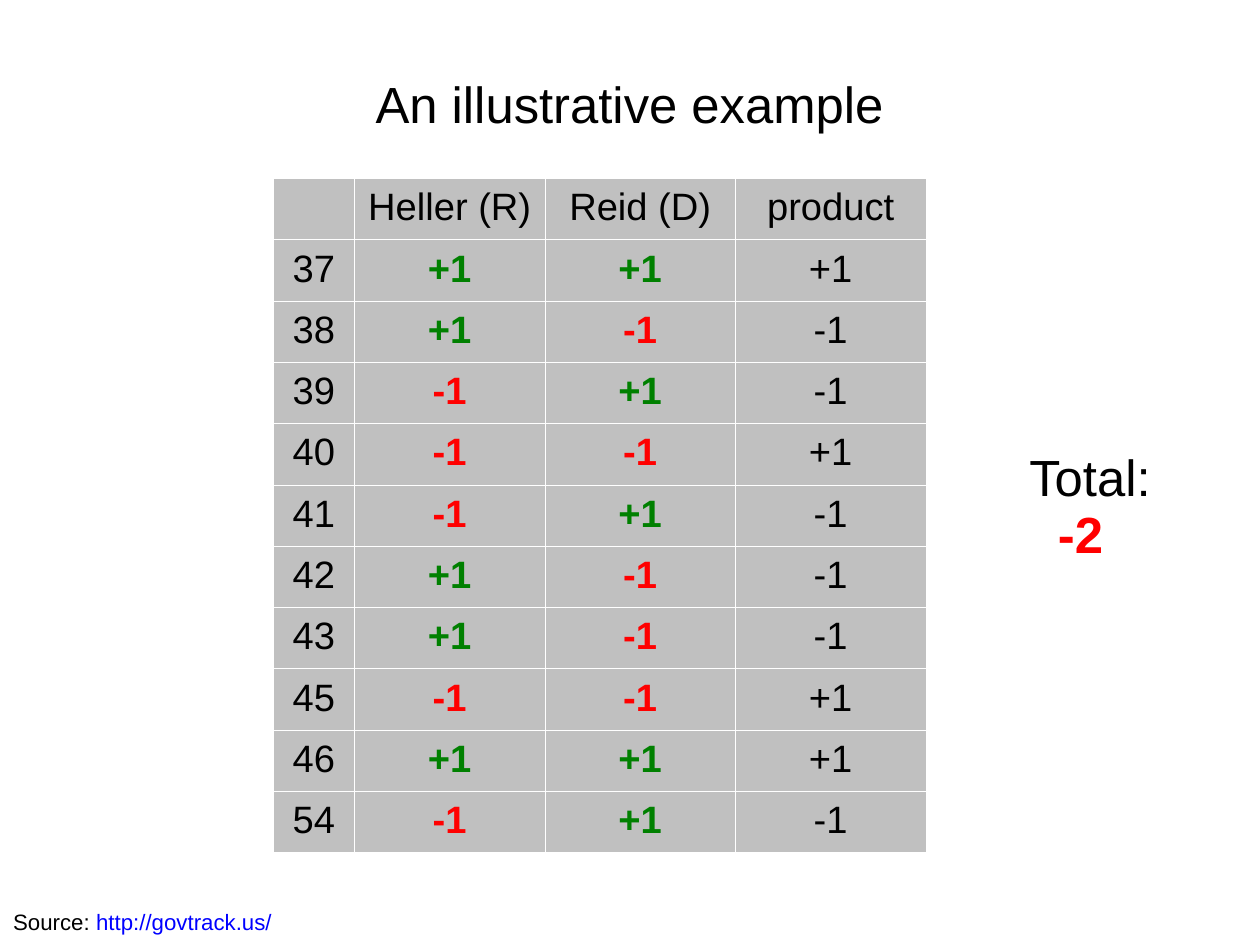
from typing import NamedTuple

from lxml import etree
from pptx import Presentation
from pptx import util as u
from pptx.dml.color import RGBColor
from pptx.enum import text as t
from pptx.oxml import ns

BLACK = RGBColor(0x00, 0x00, 0x00)
WHITE = RGBColor(0xFF, 0xFF, 0xFF)
GREY = RGBColor(0xC0, 0xC0, 0xC0)
GREEN = RGBColor(0x00, 0x80, 0x00)
RED = RGBColor(0xFF, 0x00, 0x00)
BLUE = RGBColor(0x00, 0x00, 0xFF)

WIDTH, HEIGHT = u.Cm(28), u.Cm(21)
FONT = "Arial"
LINE_SPACING = 0.93
BORDER = u.Pt(0.06)
VOTE_COLUMN, ISSUE_COLUMN, ROW = 15.12, 6.44, 6.49


class Area(NamedTuple):
    """A rectangle in percent of the slide's width and height."""
    left: float
    top: float
    width: float
    height: float


class Piece(NamedTuple):
    words: str
    color: RGBColor = BLACK
    bold: bool = False


class Line(NamedTuple):
    pieces: list[Piece]
    indent: float = 0


class Vote(NamedTuple):
    issue: int
    heller: int
    reid: int

    @property
    def product(self) -> int:
        return self.heller * self.reid


VOTES = [
    Vote(37, 1, 1), Vote(38, 1, -1), Vote(39, -1, 1), Vote(40, -1, -1),
    Vote(41, -1, 1), Vote(42, 1, -1), Vote(43, 1, -1), Vote(45, -1, -1),
    Vote(46, 1, 1), Vote(54, -1, 1),
]


def across(percent: float) -> int:
    return round(WIDTH * percent / 100)


def down(percent: float) -> int:
    return round(HEIGHT * percent / 100)


def place(area: Area) -> tuple[int, int, int, int]:
    return (across(area.left), down(area.top),
            across(area.width), down(area.height))


def write(paragraph, line: Line, size: int, align) -> None:
    paragraph.alignment = align
    paragraph.line_spacing = LINE_SPACING
    if line.indent:
        paragraph._p.get_or_add_pPr().set("marL", str(u.Inches(line.indent)))
    for piece in line.pieces:
        run = paragraph.add_run()
        run.text = piece.words
        run.font.name, run.font.size = FONT, u.Pt(size)
        run.font.color.rgb, run.font.bold = piece.color, piece.bold


def add_text(slide, area: Area, lines: list[Line], size: int,
             insets: tuple[float, float, float, float],
             align=t.PP_ALIGN.LEFT, anchor=t.MSO_ANCHOR.TOP) -> None:
    frame = slide.shapes.add_textbox(*place(area)).text_frame
    frame.word_wrap, frame.vertical_anchor = True, anchor
    (frame.margin_left, frame.margin_top,
     frame.margin_right, frame.margin_bottom) = map(u.Inches, insets)
    for i, line in enumerate(lines):
        paragraph = frame.add_paragraph() if i else frame.paragraphs[0]
        write(paragraph, line, size, align)


def add_borders(cell) -> None:
    properties = cell._tc.get_or_add_tcPr()
    for i, side in enumerate(("lnL", "lnR", "lnT", "lnB")):
        border = etree.Element(ns.qn(f"a:{side}"), w=str(BORDER))
        fill = etree.SubElement(border, ns.qn("a:solidFill"))
        etree.SubElement(fill, ns.qn("a:srgbClr"), val=str(WHITE))
        properties.insert(i, border)


def vote_piece(value: int) -> Piece:
    return Piece(f"{value:+d}", GREEN if value > 0 else RED, True)


def add_vote_table(slide) -> None:
    rows = [[Piece(head) for head in ("", "Heller (R)", "Reid (D)", "product")]]
    rows += [[Piece(str(vote.issue)), vote_piece(vote.heller),
              vote_piece(vote.reid), Piece(f"{vote.product:+d}")]
             for vote in VOTES]
    columns = [ISSUE_COLUMN] + [VOTE_COLUMN] * 3
    area = Area(21.69, 18.86, sum(columns), ROW * len(rows))
    table = slide.shapes.add_table(len(rows), len(columns), *place(area)).table
    table.first_row = table.horz_banding = False
    for column, width in zip(table.columns, columns):
        column.width = across(width)
    for r, pieces in enumerate(rows):
        table.rows[r].height = down(ROW)
        for c, piece in enumerate(pieces):
            cell = table.cell(r, c)
            cell.fill.solid()
            cell.fill.fore_color.rgb = GREY
            cell.vertical_anchor = t.MSO_ANCHOR.MIDDLE
            add_borders(cell)
            if piece.words:
                write(cell.text_frame.paragraphs[0], Line([piece]), 24,
                      t.PP_ALIGN.CENTER)


def main() -> None:
    deck = Presentation()
    deck.slide_width, deck.slide_height = WIDTH, HEIGHT
    slide = deck.slides.add_slide(deck.slide_layouts[6])

    add_text(slide, Area(5, 4, 90, 14.15),
             [Line([Piece("An illustrative example")])], 32,
             (0, 0.03, 0, 0), t.PP_ALIGN.CENTER, t.MSO_ANCHOR.MIDDLE)
    add_vote_table(slide)
    total = sum(vote.product for vote in VOTES)
    add_text(slide, Area(80.8, 46.75, 15.88, 13.3),
             [Line([Piece("Total:")]), Line([vote_piece(total)], indent=0.25)],
             32, (0.1, 0.08, 0.1, 0.05))
    add_text(slide, Area(0.15, 95.6, 70.15, 3.87),
             [Line([Piece("Source: "), Piece("http://govtrack.us/", BLUE)])],
             14, (0.1, 0.06, 0.1, 0.05))
    deck.save("out.pptx")


if __name__ == "__main__":
    main()
